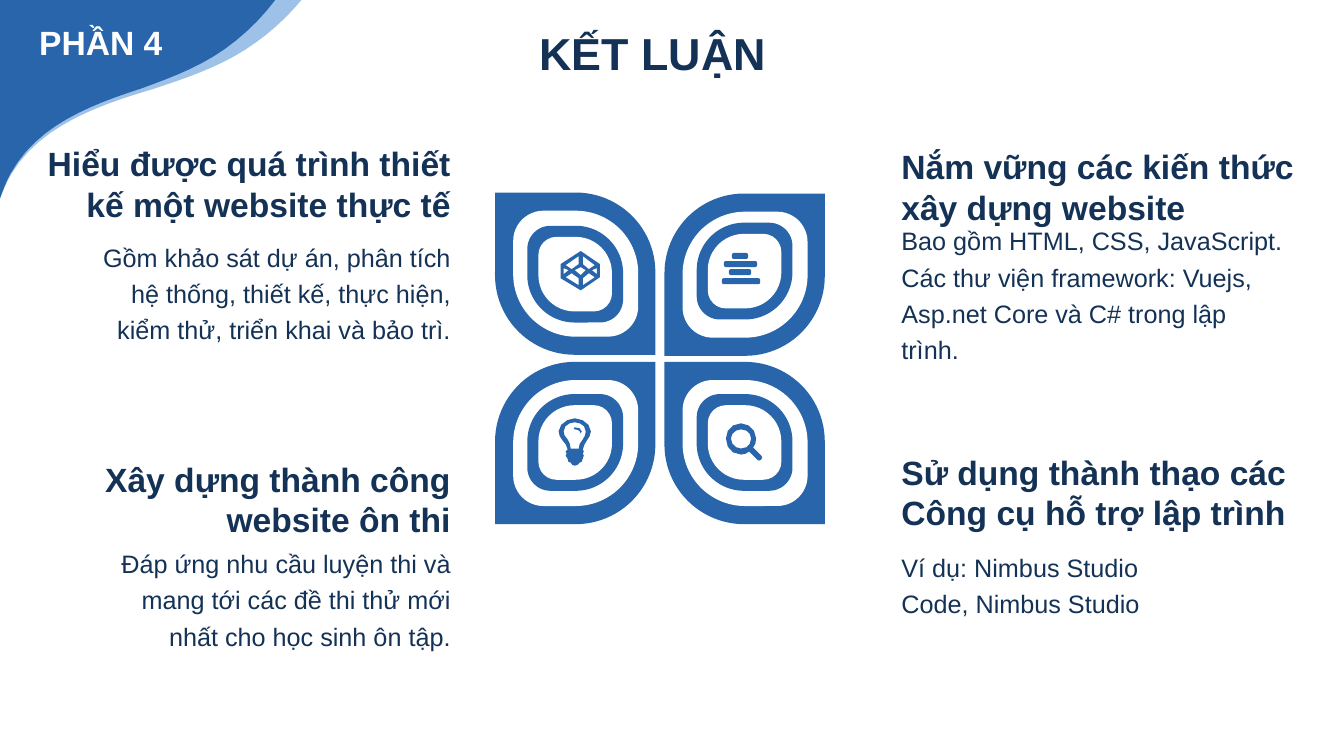
import math

from pptx import Presentation
from pptx.dml.color import RGBColor
from pptx.enum.shapes import MSO_SHAPE
from pptx.enum.text import MSO_ANCHOR, MSO_AUTO_SIZE, PP_ALIGN
from pptx.util import Inches, Pt

LEFT, CENTER, RIGHT = PP_ALIGN.LEFT, PP_ALIGN.CENTER, PP_ALIGN.RIGHT
TOP, MIDDLE, BOTTOM = MSO_ANCHOR.TOP, MSO_ANCHOR.MIDDLE, MSO_ANCHOR.BOTTOM
LEAF, BAR = MSO_SHAPE.ROUND_2_DIAG_RECTANGLE, MSO_SHAPE.ROUNDED_RECTANGLE
COLORS = {"blue": "2865AB", "pale": "9EC1E8", "navy": "143256", "white": "FFFFFF"}
FONT = "Arial"

# Outlines in hundredths of an inch, measured from the top left of their box
WAVE = ("M 0 197 L 0 0 L 299 0 C 280 23 257 42 232 56 C 207 70 180 79 153 88 "
        "C 126 96 98 105 73 118 C 48 131 26 148 11 173 C 7 180 3 189 0 197")
GEM = ("M 39 26 L 20 39 L 0 27 L 0 13 L 20 0 L 39 13 "
       "M 8 19 L 3 17 L 3 23 M 18 13 L 18 5 L 5 14 L 11 18 "
       "M 18 34 L 18 27 L 11 22 L 5 26 M 25 19 L 20 16 L 14 19 L 20 24 "
       "M 34 14 L 22 5 L 22 13 L 28 18 M 34 26 L 28 22 L 22 27 L 22 34 "
       "M 36 23 L 36 17 L 31 19")
BULB = ("M 28 22 C 27 24 24 28 24 31 L 25 33 L 24 35 L 25 37 L 24 40 "
        "C 24 43 22 44 21 44 C 20 46 18 47 16 47 C 15 47 12 46 12 44 "
        "C 10 44 9 43 9 40 L 7 37 L 8 35 L 7 33 L 9 31 "
        "C 9 28 6 24 4 22 C 2 19 0 17 0 13 C 0 6 9 0 16 0 C 24 0 32 6 32 13 "
        "C 32 17 30 19 28 22 "
        "M 16 4 C 11 4 5 7 5 13 C 5 16 6 18 9 21 C 11 24 12 27 12 30 L 20 30 "
        "C 20 27 21 24 24 21 C 26 18 27 16 27 13 C 27 7 21 4 16 4 "
        "M 22 15 L 21 13 C 21 12 18 11 16 11 L 15 10 L 16 9 "
        "C 19 9 23 10 23 13 L 22 15")
MAGNIFIER = ("M 33 37 L 31 36 L 23 28 C 21 30 18 31 15 31 "
             "C 6 31 0 24 0 15 C 0 7 6 0 15 0 C 23 0 30 7 30 15 "
             "C 30 19 29 22 27 24 L 35 32 L 36 34 L 35 36 L 33 37 "
             "M 15 6 C 10 6 5 10 5 15 C 5 21 10 25 15 25 C 21 25 25 21 25 15 "
             "C 25 10 21 6 15 6")


def trace(outline, x, y, stretch):
    """Turn an outline into lists of points in inches, with its box at x, y."""
    contours = []
    tokens = iter(outline.split())
    for command in tokens:
        points = [(x + float(next(tokens)) * stretch / 100, y + float(next(tokens)) / 100)
                  for _ in range(3 if command == "C" else 1)]
        if command == "M":
            contours.append(points)
        elif command == "L":
            contours[-1] += points
        else:
            curve = [contours[-1][-1]] + points
            steps = max(1, round(math.sqrt(math.dist(curve[0], curve[3]) / 0.02)))
            for step in range(1, steps + 1):
                t = step / steps
                weights = [math.comb(3, i) * t**i * (1 - t)**(3 - i) for i in range(4)]
                contours[-1].append(tuple(
                    sum(w * p[axis] for w, p in zip(weights, curve)) for axis in (0, 1)))
    return contours


def paint(sp, color):
    sp.shadow.inherit = False
    sp.fill.solid()
    sp.fill.fore_color.rgb = RGBColor.from_string(COLORS[color])
    sp.line.fill.background()


def add_outline(s, outline, x, y, color="blue", stretch=1):
    builder = None
    for points in trace(outline, x, y, stretch):
        emu = [(Inches(px), Inches(py)) for px, py in points]
        if builder is None:
            builder = s.shapes.build_freeform(*emu[0])
        else:
            builder.move_to(*emu[0])
        builder.add_line_segments(emu[1:], close=True)
    paint(builder.convert_to_shape(), color)


def add_rounded(s, kind, x, y, w, h, radii, color):
    sp = s.shapes.add_shape(kind, Inches(x), Inches(y), Inches(w), Inches(h))
    for i, radius in enumerate(radii):
        sp.adjustments[i] = radius / min(w, h)
    paint(sp, color)


def set_text(sp, lines, size, color="navy", bold=False, align=LEFT, anchor=TOP,
             spacing=1.0):
    tf = sp.text_frame
    tf.word_wrap = True
    tf.auto_size = MSO_AUTO_SIZE.NONE
    tf.vertical_anchor = anchor
    for i, line in enumerate(lines):
        p = tf.paragraphs[0] if i == 0 else tf.add_paragraph()
        p.text = line
        p.alignment = align
        p.line_spacing = spacing
        p.space_before = Pt(0)
        p.font.name = FONT
        p.font.size = Pt(size)
        p.font.bold = bold
        p.font.color.rgb = RGBColor.from_string(COLORS[color])


def add_text(s, x, y, w, h, lines, size, inset=0.0, **style):
    sp = s.shapes.add_textbox(Inches(x), Inches(y), Inches(w), Inches(h))
    tf = sp.text_frame
    tf.margin_left = tf.margin_right = Inches(inset)
    tf.margin_top = tf.margin_bottom = Inches(inset / 2)
    set_text(sp, lines, size, **style)


def add_corner(s, x, y):
    """Waves in the corner with the part number on them."""
    for color, width in (("pale", 2.99), ("blue", 2.73)):
        add_outline(s, WAVE, x, y, color, width / 2.99)
    add_text(s, x + 0.28, y + 0.17, 1.44, 0.5, ["PHẦN 4"], 24, inset=0.1,
             color="white", bold=True, align=CENTER)


def add_title(s, x, y, w, h):
    title = s.shapes.title
    title.left, title.top, title.width, title.height = map(Inches, (x, y, w, h))
    set_text(title, ["KẾT LUẬN"], 32, bold=True)


def add_petal(s, x, y, falling, ring_y):
    """Two nested rings; falling petals point to top left and bottom right."""
    layers = [(0, 0, 1.59, 1.61, 0, 0.79, "blue"),
              (0.18, 0.18, 1.24, 1.25, 0.3, 0.62, "white"),
              (0.32, ring_y, 0.95, 0.96, 0.23, 0.47, "blue"),
              (0.43, ring_y + 0.11, 0.73, 0.74, 0.18, 0.36, "white")]
    for dx, dy, w, h, tip, side, color in layers:
        radii = (tip, side) if falling else (side, tip)
        add_rounded(s, LEAF, x + dx, y + dy, w, h, radii, color)


def add_flower(s, x, y):
    right, bottom = x + 1.68, y + 1.68
    add_petal(s, x, y, True, 0.33)
    add_petal(s, right, y + 0.01, False, 0.29)
    add_petal(s, x, bottom, False, 0.32)
    add_petal(s, right, bottom, True, 0.32)
    add_outline(s, GEM, x + 0.65, y + 0.58)
    add_outline(s, BULB, x + 0.63, bottom + 0.56)
    add_outline(s, MAGNIFIER, right + 0.61, bottom + 0.61)
    for dx, dy, w in ((0.1, 0, 0.16), (0.02, 0.08, 0.33), (0.07, 0.16, 0.22),
                      (0, 0.25, 0.38)):
        add_rounded(s, BAR, right + 0.57 + dx, y + 0.6 + dy, w, 0.06, [0.02], "blue")


def add_conclusion(s, x, w, heading_bottom, body_middle, body_w, align, heading, body):
    add_text(s, x, heading_bottom - 0.8, w, 0.8, heading, 24,
             bold=True, align=align, anchor=BOTTOM)
    body_x = x + w - body_w if align == RIGHT else x
    add_text(s, body_x, body_middle - 0.75, body_w, 1.5, body, 18,
             align=align, anchor=MIDDLE, spacing=1.2)


def main():
    prs = Presentation()
    prs.slide_width, prs.slide_height = Inches(13.33), Inches(7.5)
    s = prs.slides.add_slide(prs.slide_layouts[5])
    add_title(s, 5.25, 0.21, 6.68, 0.64)
    add_flower(s, 4.91, 1.91)
    left, right = (0.27, 4.2), (8.94, 4.2)
    add_conclusion(s, *left, 2.22, 2.88, 3.55, RIGHT,
                   ["Hiểu được quá trình thiết", "kế một website thực tế"],
                   ["Gồm khảo sát dự án, phân tích hệ thống, thiết kế, thực hiện, "
                    "kiểm thử, triển khai và bảo trì."])
    add_conclusion(s, *right, 2.25, 2.9, 3.85, LEFT,
                   ["Nắm vững các kiến thức", "xây dựng website"],
                   ["Bao gồm HTML, CSS, JavaScript. Các thư viện framework: Vuejs, "
                    "Asp.net Core và C# trong lập trình."])
    add_conclusion(s, *left, 5.35, 5.92, 3.55, RIGHT,
                   ["Xây dựng thành công", "website ôn thi"],
                   ["Đáp ứng nhu cầu luyện thi và mang tới các đề thi thử mới "
                    "nhất cho học sinh ôn tập."])
    add_conclusion(s, *right, 5.28, 5.78, 3.85, LEFT,
                   ["Sử dụng thành thạo các", "Công cụ hỗ trợ lập trình"],
                   ["Ví dụ: Nimbus Studio", "Code, Nimbus Studio"])
    add_corner(s, 0, 0)
    prs.save("out.pptx")


if __name__ == "__main__":
    main()
